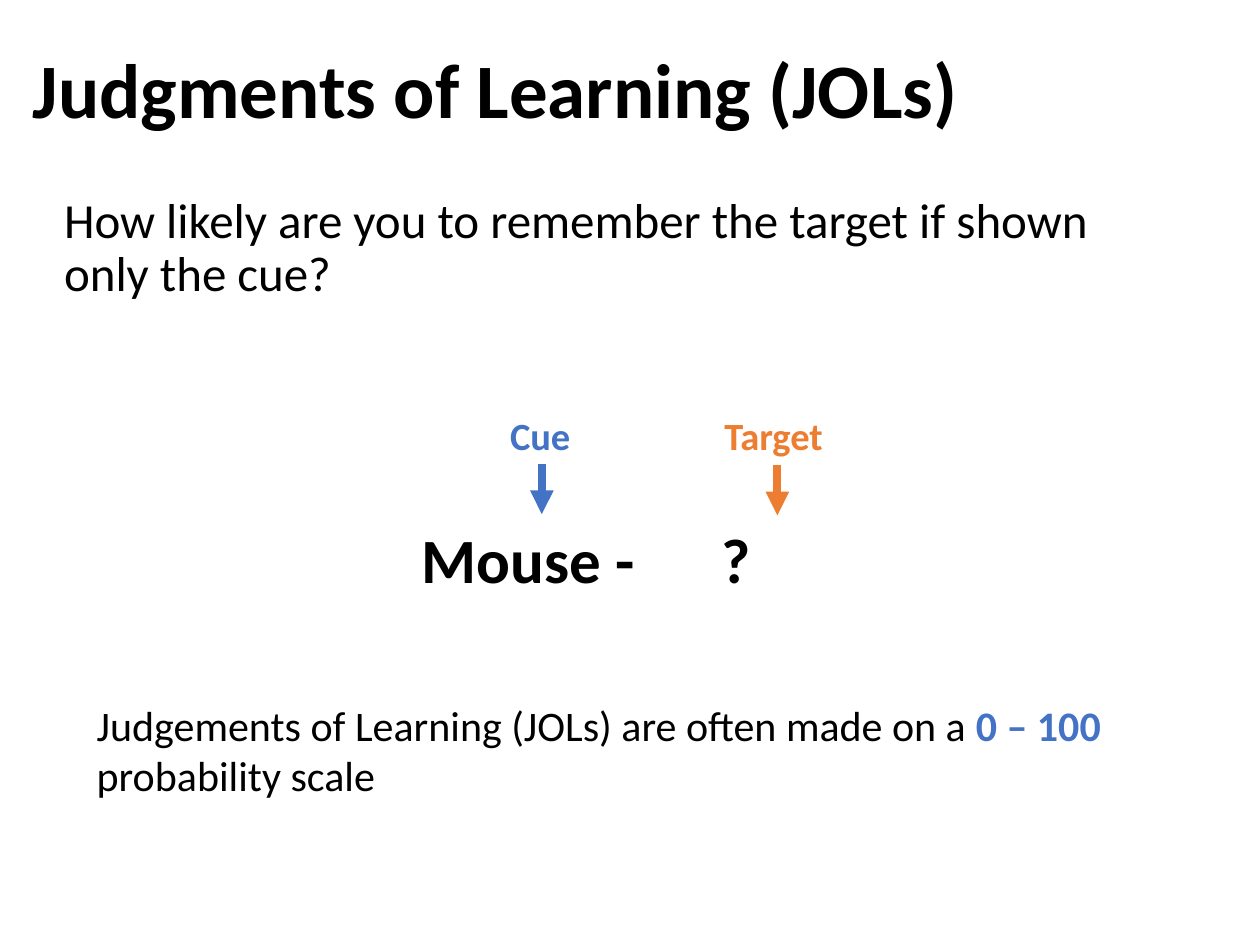
from lxml import etree
from pptx import Presentation
from pptx.dml.color import RGBColor
from pptx.enum.shapes import MSO_CONNECTOR
from pptx.enum.text import MSO_ANCHOR
from pptx.oxml.ns import qn
from pptx.util import Pt

TOP, MIDDLE = MSO_ANCHOR.TOP, MSO_ANCHOR.MIDDLE
LINE = MSO_CONNECTOR.STRAIGHT
FONT = "Calibri"
BLACK, BLUE, ORANGE = "000000", "4472C4", "ED7D31"

# Content: runs are (text, colour, bold); boxes are left, top, width, height
TITLE = [("Judgments of Learning (JOLs)", BLACK, True)]
ASK = [("How likely are you to remember the target if shown only the cue?",
        BLACK, False)]
PAIR = [("Mouse -\t?", BLACK, True)]
SCALE = [("Judgements of Learning (JOLs) are often made on a ", BLACK, False),
         ("0 – 100", BLUE, True),
         (" probability scale", BLACK, False)]
# Label, colour, label left, arrow x, arrow top
LABELS = [("Cue", BLUE, 284.4, 309.6, 265),
          ("Target", ORANGE, 406.8, 444.24, 265.7)]
ARROW = 28.8  # arrow length
GAP = 171     # tab stop of the question mark


def color(code):
    return RGBColor.from_string(code)


def add_text(slide, box, runs, size, anchor=TOP, lines=None, before=None):
    frame = slide.shapes.add_textbox(*map(Pt, box)).text_frame
    frame.word_wrap = True
    frame.vertical_anchor = anchor
    para = frame.paragraphs[0]
    if lines:
        para.line_spacing = lines
    if before:
        para.space_before = Pt(before)
    for text, code, bold in runs:
        run = para.add_run()
        run.text = text
        run.font.name, run.font.size, run.font.bold = FONT, Pt(size), bold
        run.font.color.rgb = color(code)
    return para


def add_tab(para, pos):
    tabs = etree.SubElement(para._p.get_or_add_pPr(), qn("a:tabLst"))
    etree.SubElement(tabs, qn("a:tab"), pos=str(Pt(pos)), algn="l")


def add_arrow(slide, x, top, code):
    arrow = slide.shapes.add_connector(
        LINE, Pt(x), Pt(top), Pt(x), Pt(top + ARROW))
    arrow.line.color.rgb = color(code)
    arrow.line.width = Pt(4.5)
    etree.SubElement(arrow.line._get_or_add_ln(), qn("a:tailEnd"),
                     type="triangle")
    etree.SubElement(arrow._element.spPr, qn("a:effectLst"))


def main():
    deck = Presentation()
    deck.slide_width, deck.slide_height = Pt(720), Pt(540)
    slide = deck.slides.add_slide(deck.slide_layouts[6])

    # Title and question
    add_text(slide, (11.5, 1.4, 620.6, 104.4), TITLE, 44, MIDDLE, 0.9)
    add_text(slide, (29.5, 108.7, 620.6, 72), ASK, 28, lines=0.9, before=10)

    # Word pair with its labels and arrows
    pair = add_text(slide, (234, 293.8, 311.8, 51), PAIR, 36)
    add_tab(pair, GAP)
    for text, code, left, x, top in LABELS:
        add_text(slide, (left, 231.8, 110.2, 33.8), [(text, code, True)], 22)
        add_arrow(slide, x, top, code)

    # Scale note
    add_text(slide, (48.2, 396, 594, 65.5), SCALE, 24)

    deck.save("out.pptx")


if __name__ == "__main__":
    main()
